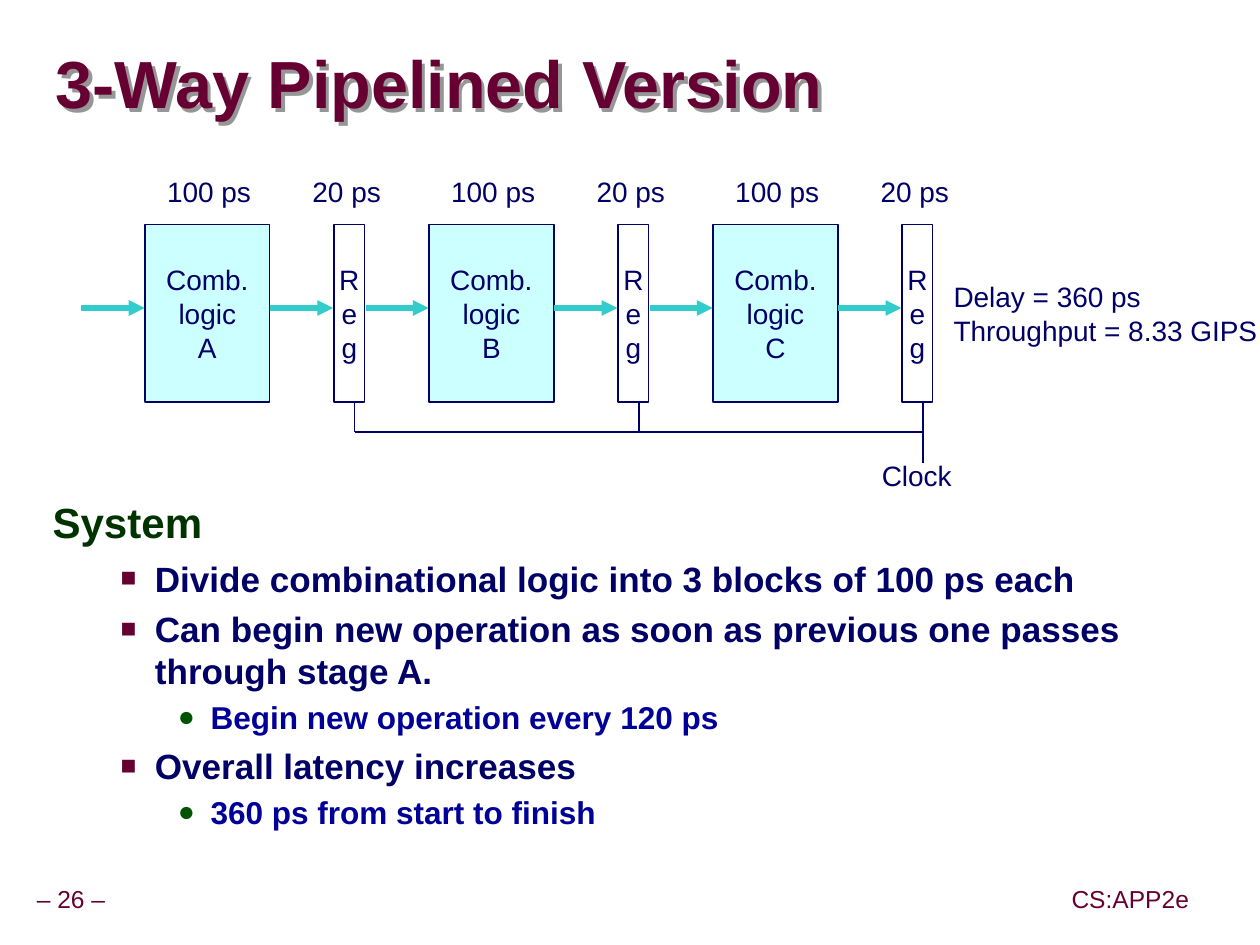
from pptx import Presentation
from pptx.dml.color import RGBColor
from pptx.enum.shapes import MSO_CONNECTOR as Connector, MSO_SHAPE as Shape
from pptx.enum.text import MSO_ANCHOR as Anchor, PP_ALIGN as Align
from pptx.oxml.xmlchemy import OxmlElement
from pptx.util import Cm, Pt

COLORS = {
    "wine": "660033", "navy": "000066", "blue": "000099", "green": "003300",
    "dot": "005400", "teal": "33CCCC", "cyan": "CCFFFF", "white": "FFFFFF",
    "shadow": "969696",
}
BODY = {
    "heading": {"size": 24, "color": "green", "spacing": 0.95, "before": 0,
                "margin": 1.07, "indent": -1.07, "bullet": None},
    "point": {"size": 20, "color": "navy", "spacing": 1.0, "before": 5,
              "margin": 2.06, "indent": -0.69, "bullet": ("■", "wine", 75)},
    "detail": {"size": 18, "color": "blue", "spacing": 1.07, "before": 2,
               "margin": 3.18, "indent": -0.66, "bullet": ("●", "dot", 90)},
}
POINTS = [
    ("heading", "System"),
    ("point", "Divide combinational logic into 3 blocks of 100 ps each"),
    ("point", "Can begin new operation as soon as previous one passes through stage A."),
    ("detail", "Begin new operation every 120 ps"),
    ("point", "Overall latency increases"),
    ("detail", "360 ps from start to finish"),
]


def rgb(name):
    return RGBColor.from_string(COLORS[name])


def element(tag, *children, **values):
    node = OxmlElement(f"a:{tag}")
    for name, value in values.items():
        node.set(name, str(value))
    node.extend(children)
    return node


def set_all(target, values):
    for name, value in values.items():
        setattr(target, name, value)


def set_frame(frame, anchor=Anchor.TOP, wrap=False, side=0.25, edge=0.13):
    set_all(frame, {"vertical_anchor": anchor, "word_wrap": wrap,
                    "margin_left": Cm(side), "margin_right": Cm(side),
                    "margin_top": Cm(edge), "margin_bottom": Cm(edge)})


def write(frame, lines, size=16, color="navy", bold=False, align=Align.CENTER, spacing=1.0):
    for index, line in enumerate(lines):
        para = frame.paragraphs[0] if index == 0 else frame.add_paragraph()
        set_all(para, {"alignment": align, "line_spacing": spacing})
        span = para.add_run()
        span.text = line
        set_all(span.font, {"name": "Arial", "size": Pt(size), "bold": bold})
        span.font.color.rgb = rgb(color)


def add_label(page, box, lines, frame_values=None, **text_values):
    label = page.shapes.add_textbox(*map(Cm, box))
    set_frame(label.text_frame, **(frame_values or {}))
    write(label.text_frame, lines, **text_values)


def add_block(page, box, lines, fill):
    block = page.shapes.add_shape(Shape.RECTANGLE, *map(Cm, box))
    block.shadow.inherit = False
    block.fill.solid()
    block.fill.fore_color.rgb = rgb(fill)
    block.line.color.rgb = rgb("navy")
    block.line.width = Pt(1)
    set_frame(block.text_frame, anchor=Anchor.MIDDLE)
    write(block.text_frame, lines)


def add_line(page, start, end, color="navy", width=1, arrow=False):
    line = page.shapes.add_connector(Connector.STRAIGHT, *map(Cm, start + end))
    line.line.color.rgb = rgb(color)
    line.line.width = Pt(width)
    if arrow:
        line.line._get_or_add_ln().append(element("tailEnd", type="triangle"))
    line._element.spPr.append(element("effectLst"))


def add_flow(page, x, y):
    add_line(page, (x, y), (x + 1.27, y), "teal", 3, arrow=True)


def add_title(page, box):
    title = page.shapes.title
    set_all(title, dict(zip(("left", "top", "width", "height"), map(Cm, box))))
    title.fill.background()
    set_frame(title.text_frame, anchor=Anchor.MIDDLE, wrap=True, side=0, edge=0)
    write(title.text_frame, ["3-Way Pipelined Version"], 38, "wine", True, Align.LEFT, 0.87)
    shade = element("srgbClr", val=COLORS["shadow"])
    shadow = element("outerShdw", shade, dist=Cm(0.1), dir=2700000)
    title._element.spPr.append(element("effectLst", shadow))


def add_stage(page, left, top, letter):
    block_top = top + 1.14
    flow_y = top + 2.82
    add_label(page, (left - 0.01, top, 2.6, 0.91), ["100 ps"])
    add_label(page, (left + 2.76, top, 2.6, 0.91), ["20 ps"])
    add_flow(page, left - 1.28, flow_y)
    add_block(page, (left, block_top, 2.51, 3.57), ["Comb.", "logic", letter], "cyan")
    add_flow(page, left + 2.52, flow_y)
    add_block(page, (left + 3.81, block_top, 0.61, 3.57), list("Reg"), "white")


def add_pipeline(page, box):
    left, top, width, height = box
    pitch = 5.72
    stage_lefts = [left + 1.3 + pitch * index for index in range(3)]
    taps = [stage_left + 4.22 for stage_left in stage_lefts]
    reg_bottom, clock_y, clock_top = top + 4.72, top + 5.31, top + 5.94
    for stage_left, tap, letter in zip(stage_lefts, taps, "ABC"):
        add_stage(page, stage_left, top, letter)
        tap_end = clock_top if tap == taps[-1] else clock_y
        add_line(page, (tap, reg_bottom), (tap, tap_end))
    add_line(page, (taps[0], clock_y), (taps[-1], clock_y))
    add_label(page, (taps[-1] - 1.42, top + height - 0.91, 2.6, 0.91), ["Clock"])
    add_label(page, (left + width - 6.93, top + 2.12, 6.93, 1.6),
              ["Delay = 360 ps", "Throughput = 8.33 GIPS"], align=Align.LEFT)


def add_body(page, box):
    frame = page.shapes.add_textbox(*map(Cm, box)).text_frame
    set_frame(frame, wrap=True)
    write(frame, [text for _, text in POINTS], bold=True, align=Align.LEFT)
    for para, (level, _) in zip(frame.paragraphs, POINTS):
        style = BODY[level]
        set_all(para, {"line_spacing": style["spacing"], "space_before": Pt(style["before"])})
        font = para.runs[0].font
        font.size = Pt(style["size"])
        font.color.rgb = rgb(style["color"])
        properties = para._p.get_or_add_pPr()
        properties.set("marL", str(Cm(style["margin"])))
        properties.set("indent", str(Cm(style["indent"])))
        if style["bullet"]:
            mark, color, percent = style["bullet"]
            properties.extend([
                element("buClr", element("srgbClr", val=COLORS[color])),
                element("buSzPct", val=percent * 1000),
                element("buFont", typeface="Arial"),
                element("buChar", char=mark),
            ])


def add_footer(page, box):
    left, top, width, height = box
    for text, x, label_width in (("– 26 –", left, 1.68),
                                 ("CS:APP2e", left + width - 2.64, 2.64)):
        add_label(page, (x, top, label_width, height), [text],
                  {"anchor": Anchor.MIDDLE, "side": 0.13}, size=14, color="wine", spacing=0.9)


deck = Presentation()
deck.slide_width, deck.slide_height = Cm(25.37), Cm(19.02)
page = deck.slides.add_slide(deck.slide_layouts[5])
add_title(page, (1.12, 0.69, 24.18, 2.16))
add_pipeline(page, (1.62, 3.38, 24.26, 6.62))
add_body(page, (0.81, 9.94, 23.04, 7.92))
add_footer(page, (0.59, 17.74, 23.49, 0.79))
deck.save("out.pptx")
